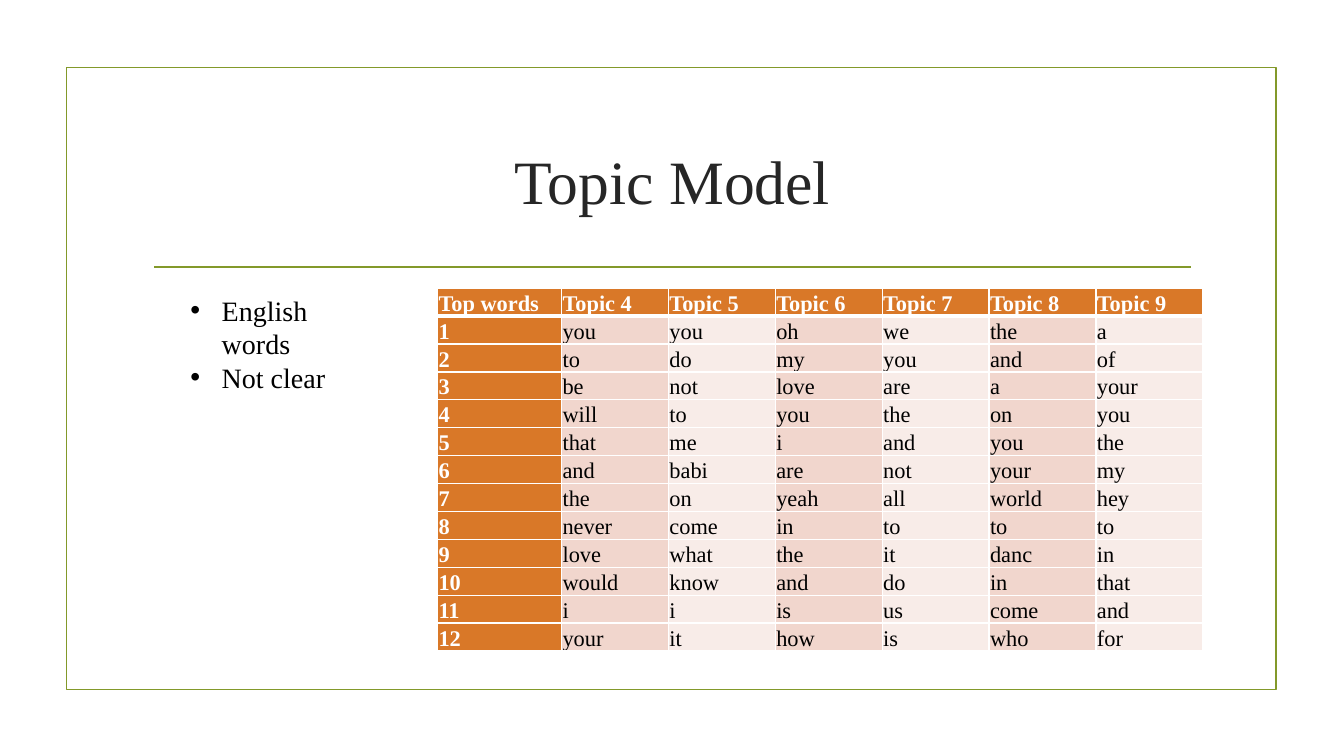
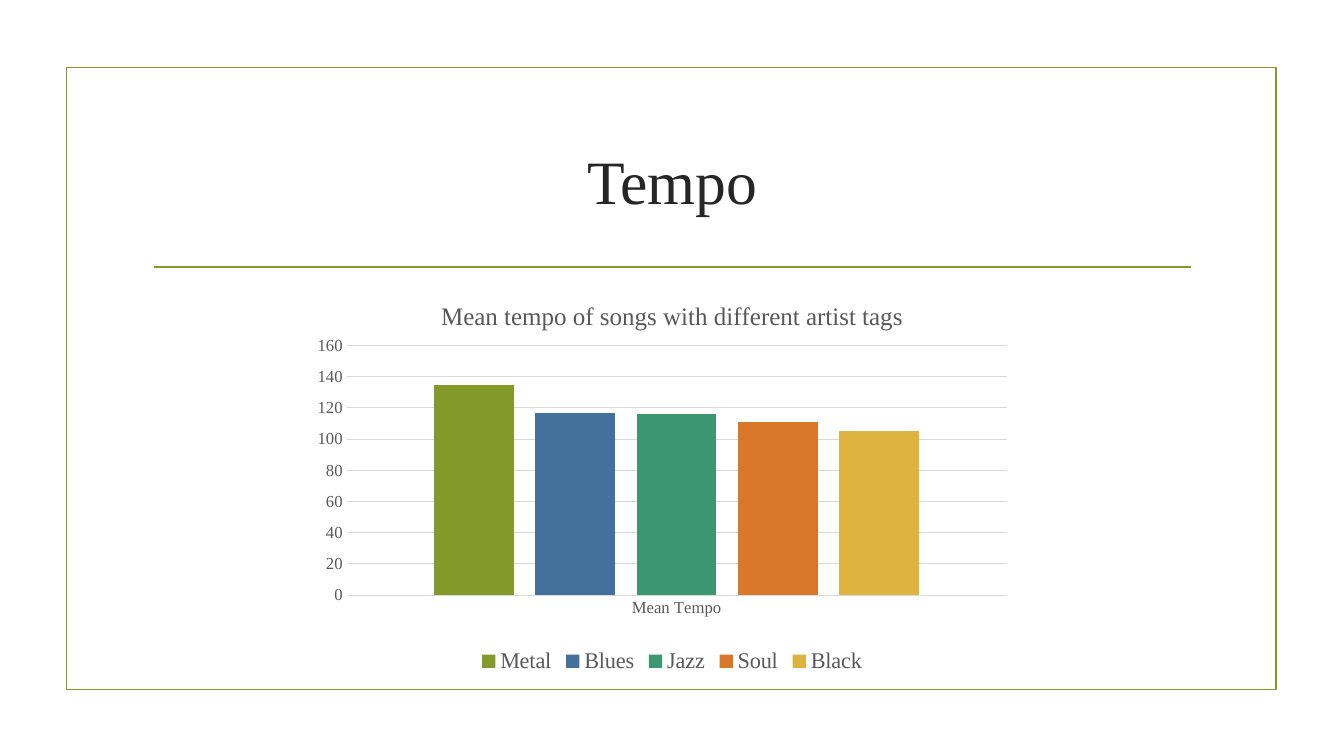
from lxml import etree
from pptx import Presentation
from pptx import util as u
from pptx.chart.data import CategoryChartData
from pptx.dml.color import RGBColor
from pptx.enum import chart as ch, shapes, text
from pptx.oxml import parse_xml
from pptx.oxml.ns import nsdecls, qn

FONT = "Times New Roman"
GREEN, ORANGE, WHITE, BLACK = "83992A", "D97828", "FFFFFF", "000000"
DARK, GRAY, PALE = "262626", "595959", "D9D9D9"
BANDS = ["F8ECE8", "F1D6CD"]

HEAD = ["Top words"] + [f"Topic {n}" for n in range(4, 10)]
WORDS = """you you oh we the a
to do my you and of
be not love are a your
will to you the on you
that me i and you the
and babi are not your my
the on yeah all world hey
never come in to to to
love what the it danc in
would know and do in that
i i is us come and
your it how is who for"""
TEMPO = [("Metal", 135, GREEN), ("Blues", 117, "44709D"), ("Jazz", 116, "3C9770"),
         ("Soul", 111, ORANGE), ("Black", 105, "DEB340")]


def color(code):
    return RGBColor.from_string(code)


def box(at):
    return [u.Inches(n) for n in at]


def style(font, size, tint, bold=False):
    font.name, font.size, font.bold = FONT, u.Pt(size), bold
    font.color.rgb = color(tint)


def stroke(line, tint, width):
    line.color.rgb = color(tint)
    line.width = u.Pt(width)


def write(frame, lines, size=20, tint=BLACK, bold=False, align=None,
          anchor=text.MSO_ANCHOR.TOP, bullet=False):
    frame.word_wrap = True
    frame.vertical_anchor = anchor
    for i, line in enumerate(lines):
        para = frame.add_paragraph() if i else frame.paragraphs[0]
        para.alignment = align
        run = para.add_run()
        run.text = line
        style(run.font, size, tint, bold)
        if bullet:
            mark(para)


def mark(para):
    """Give a paragraph a round bullet with a hanging indent."""
    props = para._p.get_or_add_pPr()
    props.set("marL", str(u.Inches(0.31)))
    props.set("indent", str(-u.Inches(0.31)))
    etree.SubElement(props, qn("a:buFont")).set("typeface", "Arial")
    etree.SubElement(props, qn("a:buChar")).set("char", "•")


def label(slide, at, lines, **fmt):
    write(slide.shapes.add_textbox(*box(at)).text_frame, lines, **fmt)


def page(deck, title):
    """Add a slide with the shared frame, rule and title."""
    slide = deck.slides.add_slide(deck.slide_layouts[6])
    frame = slide.shapes.add_shape(shapes.MSO_SHAPE.RECTANGLE, *box([0.66, 0.67, 12, 6.17]))
    frame.shadow.inherit = False
    frame.fill.background()
    stroke(frame.line, GREEN, 1.25)
    rule = slide.shapes.add_connector(shapes.MSO_CONNECTOR.STRAIGHT,
                                      *box([1.53, 2.65, 11.81, 2.65]))
    stroke(rule.line, GREEN, 1.25)
    etree.SubElement(rule._element.spPr, qn("a:effectLst"))
    label(slide, [1.42, 1.07, 10.5, 1.43], [title], size=44, tint=DARK,
          align=text.PP_ALIGN.CENTER, anchor=text.MSO_ANCHOR.MIDDLE)
    return slide


def edge(cell, top, base):
    """Draw white cell borders; top and base are widths in points."""
    for side, width in zip("LRTB", (1, 1, top, base)):
        cell._tc.get_or_add_tcPr().append(parse_xml(
            f'<a:ln{side} {nsdecls("a")} w="{u.Pt(width)}"><a:solidFill>'
            f'<a:srgbClr val="{WHITE}"/></a:solidFill></a:ln{side}>'))


def grid(slide, at, rows, widths, height):
    size = [sum(widths), height * len(rows)]
    table = slide.shapes.add_table(len(rows), len(widths), *box(at + size)).table
    for col, width in zip(table.columns, widths):
        col.width = u.Inches(width)
    for r, row in enumerate(rows):
        table.rows[r].height = u.Inches(height)
        for c, word in enumerate(row):
            cell = table.cell(r, c)
            head = r == 0 or c == 0
            cell.margin_left = cell.margin_right = cell.margin_top = u.Inches(0.01)
            cell.margin_bottom = 0
            edge(cell, 3 if r == 1 else 1, 3 if r == 0 else 1)
            cell.fill.solid()
            cell.fill.fore_color.rgb = color(ORANGE if head else BANDS[c % 2])
            write(cell.text_frame, [word], size=16, tint=WHITE if head else BLACK, bold=head)
            cell.vertical_anchor = text.MSO_ANCHOR.BOTTOM


def place(plot, x, y, w, h):
    """Fix the inner plot area, in fractions of the chart."""
    for old in plot.findall(qn("c:layout")):
        plot.remove(old)
    parts = [("layoutTarget", "inner"), ("xMode", "edge"), ("yMode", "edge"),
             ("x", x), ("y", y), ("w", w), ("h", h)]
    marks = "".join(f'<c:{tag} val="{val}"/>' for tag, val in parts)
    plot.insert(0, parse_xml(f'<c:layout {nsdecls("c")}><c:manualLayout>{marks}'
                             '</c:manualLayout></c:layout>'))


def bars(slide, at, title, group, series):
    data = CategoryChartData()
    data.categories = [group]
    for name, val, _ in series:
        data.add_series(name, [val])
    chart = slide.shapes.add_chart(ch.XL_CHART_TYPE.COLUMN_CLUSTERED, *box(at), data).chart
    style(chart.font, 10, BLACK)
    chart.has_title = True
    write(chart.chart_title.text_frame, [title], size=18, tint=GRAY)
    chart.chart_title.include_in_layout = False
    chart.has_legend = True
    chart.legend.position = ch.XL_LEGEND_POSITION.BOTTOM
    chart.legend.include_in_layout = False
    style(chart.legend.font, 16, GRAY)

    plot = chart.plots[0]
    plot.gap_width, plot.overlap, plot.vary_by_categories = 219, -27, False
    for item, (_, _, tint) in zip(plot.series, series):
        item.format.fill.solid()
        item.format.fill.fore_color.rgb = color(tint)

    for axis in (chart.category_axis, chart.value_axis):
        axis.major_tick_mark = axis.minor_tick_mark = ch.XL_TICK_MARK.NONE
        style(axis.tick_labels.font, 12, GRAY)
    stroke(chart.category_axis.format.line, PALE, 0.75)
    scale = chart.value_axis
    scale.minimum_scale, scale.maximum_scale, scale.major_unit = 0, 160, 20
    scale.format.line.fill.background()
    stroke(scale.major_gridlines.format.line, PALE, 0.75)
    place(chart._chartSpace.chart.plotArea, 0.034, 0.16, 0.945, 0.63)


def main():
    deck = Presentation()
    deck.slide_width, deck.slide_height = box([13.33, 7.5])

    topic = page(deck, "Topic Model")
    rows = [[str(n)] + line.split() for n, line in enumerate(WORDS.splitlines(), 1)]
    grid(topic, [4.34, 2.86], [HEAD] + rows, [1.23] + [1.06] * 6, 0.21)
    label(topic, [1.79, 2.86, 2.08, 0.77], ["English words", "Not clear"], bullet=True)

    tempo = page(deck, "Tempo")
    bars(tempo, [3.15, 2.8, 6.98, 3.93], "Mean tempo of songs with different artist tags",
         "Mean Tempo", TEMPO)
    deck.save("out.pptx")


if __name__ == "__main__":
    main()
